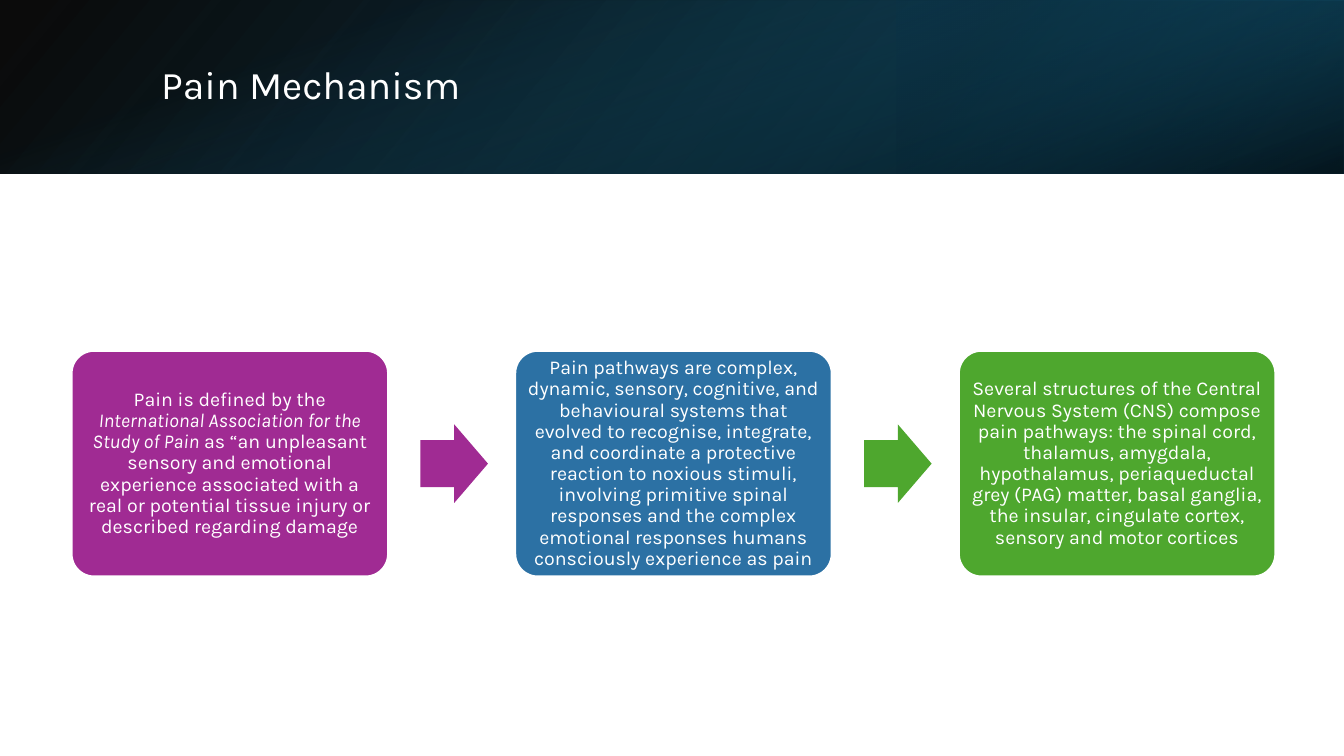
from lxml.etree import SubElement
from pptx import Presentation
from pptx.dml.color import RGBColor
from pptx.enum.shapes import MSO_SHAPE
from pptx.enum.text import MSO_ANCHOR, PP_ALIGN
from pptx.oxml.ns import qn
from pptx.util import Inches, Pt

STEPS = [
    ("A02B93", [
        ("Pain is defined by the ", False),
        ("International Association for the Study of Pain", True),
        (" as “an unpleasant sensory and emotional experience associated "
         "with a real or potential tissue injury or described regarding damage", False),
    ]),
    ("2C71A4", [
        ("Pain pathways are complex, dynamic, sensory, cognitive, and behavioural "
         "systems that evolved to recognise, integrate, and coordinate a protective "
         "reaction to noxious stimuli, involving primitive spinal responses and the "
         "complex emotional responses humans consciously experience as pain", False),
    ]),
    ("4EA72E", [
        ("Several structures of the Central Nervous System (CNS) compose pain "
         "pathways: the spinal cord, thalamus, amygdala, hypothalamus, periaqueductal "
         "grey (PAG) matter, basal ganglia, the insular, cingulate cortex, sensory "
         "and motor cortices", False),
    ]),
]
ARROWS = ["A02B93", "4EA72E"]


def color(code):
    return RGBColor.from_string(code)


def add_shape(slide, kind, box, fill=None):
    shape = slide.shapes.add_shape(kind, *map(Inches, box))
    shape.shadow.inherit = False
    shape.line.fill.background()
    if fill:
        shape.fill.solid()
        shape.fill.fore_color.rgb = color(fill)
    return shape


def add_shade(slide, box, stops, angle, turn=0, flip=False):
    shade = add_shape(slide, MSO_SHAPE.RECTANGLE, box)
    shade.rotation = turn
    props = shade._element.spPr
    if flip:
        props.find(qn("a:xfrm")).set("flipH", "1")
    shade.fill.gradient()
    grad = props.find(qn("a:gradFill"))
    for child in list(grad):
        grad.remove(child)
    group = SubElement(grad, qn("a:gsLst"))
    for place, code, alpha in stops:
        stop = SubElement(group, qn("a:gs"), pos=str(place * 1000))
        tint = SubElement(stop, qn("a:srgbClr"), val=code)
        SubElement(tint, qn("a:alpha"), val=str(alpha * 1000))
    SubElement(grad, qn("a:lin"), ang=str(angle * 60000), scaled="0")


def set_text(frame, parts, size):
    frame.word_wrap = True
    frame.vertical_anchor = MSO_ANCHOR.MIDDLE
    para = frame.paragraphs[0]
    para.line_spacing = 0.9
    for text, slant in parts:
        run = para.add_run()
        run.text = text
        run.font.name = "Karla"
        run.font.size = Pt(size)
        run.font.italic = slant
        run.font.color.rgb = color("FFFFFF")
    return para


def add_title(slide, text):
    box = slide.shapes.add_textbox(*map(Inches, (1.5, 0.38, 10.98, 0.96)))
    set_text(box.text_frame, [(text, False)], 28)


def add_step(slide, left, fill, parts):
    card = add_shape(slide, MSO_SHAPE.ROUNDED_RECTANGLE, (left, 3.48, 3.14, 2.24), fill)
    card.adjustments[0] = 0.1
    card.line.color.rgb = color("FFFFFF")
    card.line.width = Pt(1.5)
    frame = card.text_frame
    frame.margin_left = frame.margin_right = Inches(0.06)
    frame.margin_top = frame.margin_bottom = Inches(0.06)
    set_text(frame, parts, 14).alignment = PP_ALIGN.CENTER


def add_arrow(slide, left, fill):
    arrow = add_shape(slide, MSO_SHAPE.RIGHT_ARROW, (left, 4.21, 0.67, 0.78), fill)
    arrow.adjustments[0] = 0.6
    arrow.adjustments[1] = 0.5


def main():
    deck = Presentation()
    deck.slide_width = Inches(13.33)
    deck.slide_height = Inches(7.5)
    slide = deck.slides.add_slide(deck.slide_layouts[6])
    add_shade(slide, (0, 0, 13.33, 1.72),
              [(0, "000000", 96), (100, "104862", 100)], 140, flip=True)
    add_shade(slide, (8.89, 0, 4.44, 1.72),
              [(19, "0B3041", 68), (100, "156082", 79)], 320, 180, True)
    add_shade(slide, (5.8, -5.8, 1.72, 13.33),
              [(23, "156082", 0), (99, "000000", 74)], 340, 90)
    add_title(slide, "Pain Mechanism")
    for index, (fill, parts) in enumerate(STEPS):
        add_step(slide, 0.71 + index * 4.4, fill, parts)
    for index, fill in enumerate(ARROWS):
        add_arrow(slide, 4.17 + index * 4.4, fill)
    deck.save("out.pptx")


if __name__ == "__main__":
    main()
